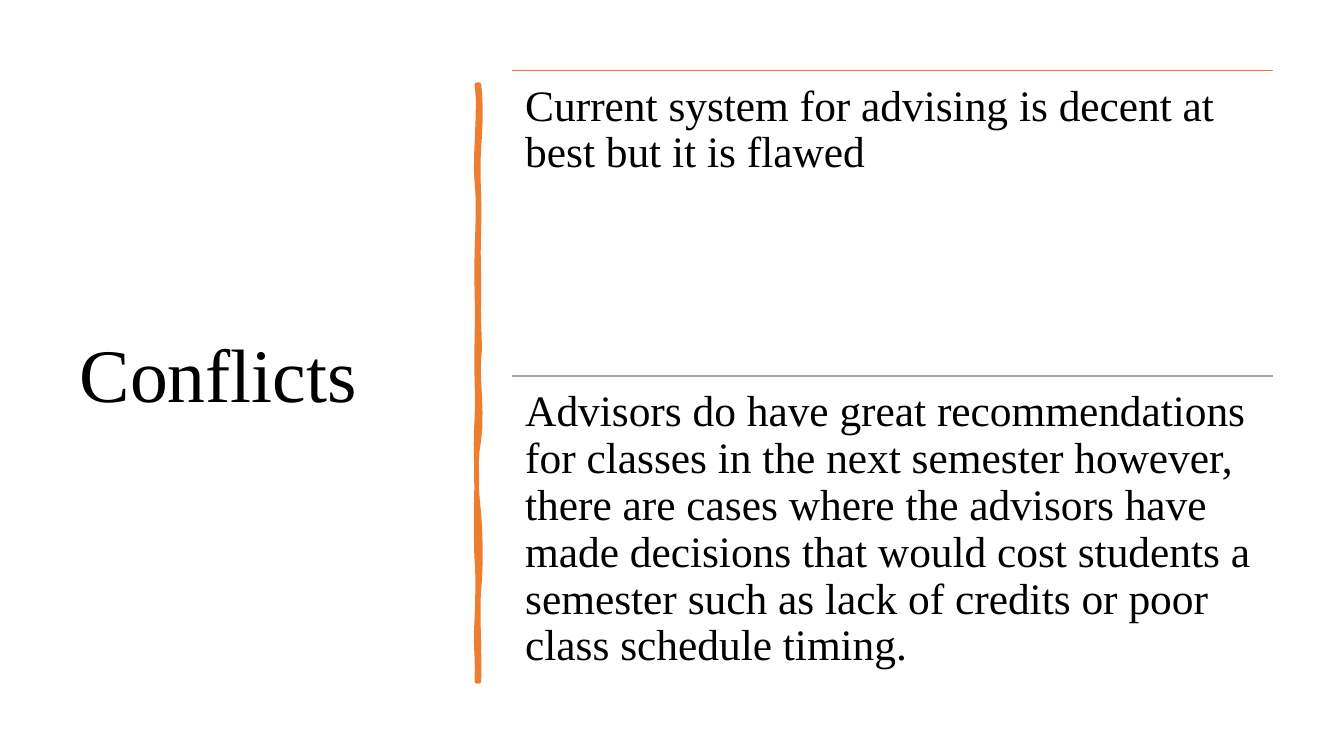
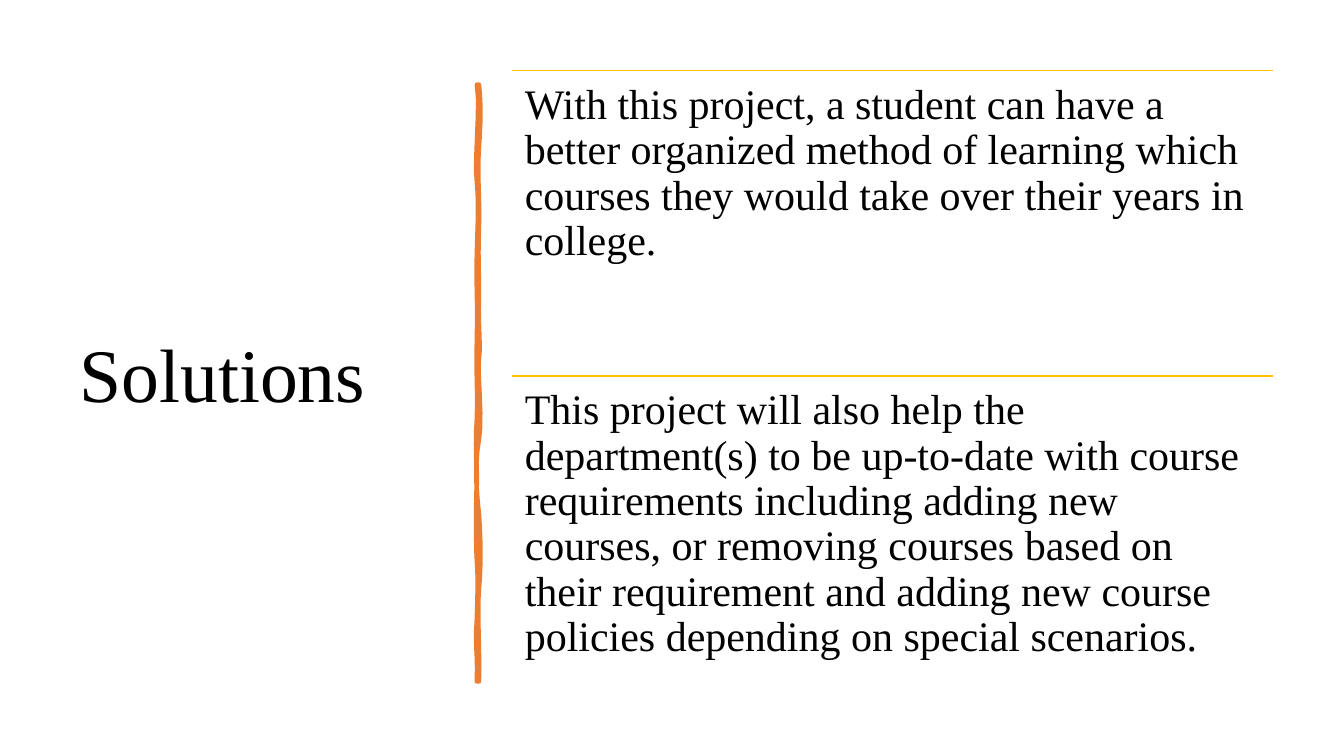
import pptx
import pptx.dml.color
import pptx.enum.shapes
import pptx.enum.text
import pptx.oxml
import pptx.util

Inches = pptx.util.Inches
Pt = pptx.util.Pt
RGBColor = pptx.dml.color.RGBColor

FONT = "Times New Roman"
BLACK = RGBColor(0x00, 0x00, 0x00)
ORANGE = RGBColor(0xED, 0x7D, 0x31)
GRAY = RGBColor(0xA5, 0xA5, 0xA5)
GOLD = RGBColor(0xFF, 0xC0, 0x00)

PANEL_LEFT, PANEL_TOP = 5.08, 0.7
PANEL_WIDTH, PANEL_HEIGHT = 7.55, 3.03
INSET_PER_POINT = 0.3  # panel inset grows with the text size

# Brush stroke outline: start point, then two control points and an end per curve
STROKE_START = (4.75, 0.84)
STROKE_CURVES = [
    (4.77, 1.02, 4.77, 1.19, 4.75, 1.46),
    (4.73, 1.73, 4.76, 1.95, 4.75, 2.26),
    (4.74, 2.57, 4.75, 2.62, 4.75, 2.94),
    (4.74, 3.25, 4.77, 3.42, 4.75, 3.56),
    (4.73, 3.70, 4.79, 4.14, 4.75, 4.36),
    (4.71, 4.57, 4.72, 4.84, 4.75, 5.10),
    (4.77, 5.36, 4.77, 5.64, 4.75, 5.84),
    (4.73, 6.03, 4.76, 6.50, 4.75, 6.76),
    (4.74, 6.76, 4.73, 6.76, 4.73, 6.76),
    (4.74, 6.46, 4.71, 6.44, 4.73, 6.13),
    (4.74, 5.83, 4.74, 5.70, 4.73, 5.57),
    (4.72, 5.44, 4.72, 4.95, 4.73, 4.77),
    (4.73, 4.59, 4.71, 4.45, 4.73, 4.15),
    (4.74, 3.86, 4.72, 3.73, 4.73, 3.35),
    (4.74, 2.98, 4.72, 2.81, 4.73, 2.50),
    (4.74, 2.18, 4.75, 2.00, 4.73, 1.81),
    (4.70, 1.63, 4.77, 1.04, 4.73, 0.84),
]
CURVE_STEPS = 6

# Title, text size, then rule colour and text of each panel
SLIDES = [
    ("Conflicts", 31, [
        (ORANGE, "Current system for advising is decent at best but it is flawed"),
        (GRAY, "Advisors do have great recommendations for classes in the next "
               "semester however, there are cases where the advisors have made "
               "decisions that would cost students a semester such as lack of "
               "credits or poor class schedule timing."),
    ]),
    ("Solutions", 30, [
        (GOLD, "With this project, a student can have a better organized method "
               "of learning which courses they would take over their years in "
               "college."),
        (GOLD, "This project will also help the department(s) to be up-to-date "
               "with course requirements including adding new courses, or "
               "removing courses based on their requirement and adding new "
               "course policies depending on special scenarios."),
    ]),
]


def write_text(frame, text, size, anchor):
    frame.word_wrap = True
    frame.auto_size = pptx.enum.text.MSO_AUTO_SIZE.NONE
    frame.vertical_anchor = anchor
    paragraph = frame.paragraphs[0]
    paragraph.alignment = pptx.enum.text.PP_ALIGN.LEFT
    paragraph.line_spacing = 0.9
    run = paragraph.add_run()
    run.text = text
    run.font.name = FONT
    run.font.size = Pt(size)
    run.font.color.rgb = BLACK


def curve_points(start, curves):
    """Return points in EMU along a chain of cubic Bezier curves."""
    points = []
    x0, y0 = start
    for x1, y1, x2, y2, x3, y3 in curves:
        for step in range(1, CURVE_STEPS + 1):
            t = step / CURVE_STEPS
            weights = ((1 - t) ** 3, 3 * t * (1 - t) ** 2, 3 * t * t * (1 - t), t ** 3)
            x = sum(w * v for w, v in zip(weights, (x0, x1, x2, x3)))
            y = sum(w * v for w, v in zip(weights, (y0, y1, y2, y3)))
            points.append((Inches(x), Inches(y)))
        x0, y0 = x3, y3
    return points


presentation = pptx.Presentation()
presentation.slide_width = Inches(13.33)
presentation.slide_height = Inches(7.5)
title_only = presentation.slide_layouts[5]
stroke_points = curve_points(STROKE_START, STROKE_CURVES)

for title_text, size, panels in SLIDES:
    slide = presentation.slides.add_slide(title_only)

    title = slide.shapes.title
    title.left, title.top = Inches(0.69), Inches(0.69)
    title.width, title.height = Inches(3.74), Inches(6.11)
    write_text(title.text_frame, title_text, 54, pptx.enum.text.MSO_ANCHOR.MIDDLE)

    start_x, start_y = STROKE_START
    builder = slide.shapes.build_freeform(Inches(start_x), Inches(start_y))
    builder.add_line_segments(stroke_points, close=True)
    stroke = builder.convert_to_shape()
    stroke.shadow.inherit = False
    stroke.fill.solid()
    stroke.fill.fore_color.rgb = ORANGE
    stroke.line.color.rgb = ORANGE
    stroke.line.width = Pt(3.25)

    for index, (rule_color, text) in enumerate(panels):
        left, width = Inches(PANEL_LEFT), Inches(PANEL_WIDTH)
        top = Inches(PANEL_TOP + index * PANEL_HEIGHT)

        rule = slide.shapes.add_connector(
            pptx.enum.shapes.MSO_CONNECTOR.STRAIGHT, left, top, left + width, top)
        rule.line.color.rgb = rule_color
        rule.line.width = Pt(1)
        rule._element.spPr.append(pptx.oxml.parse_xml(
            '<a:effectLst xmlns:a="http://schemas.openxmlformats.org/drawingml/2006/main"/>'))

        box = slide.shapes.add_textbox(left, top, width, Inches(PANEL_HEIGHT))
        frame = box.text_frame
        inset = Pt(size * INSET_PER_POINT)
        frame.margin_left = frame.margin_right = inset
        frame.margin_top = frame.margin_bottom = inset
        write_text(frame, text, size, pptx.enum.text.MSO_ANCHOR.TOP)

presentation.save("out.pptx")
